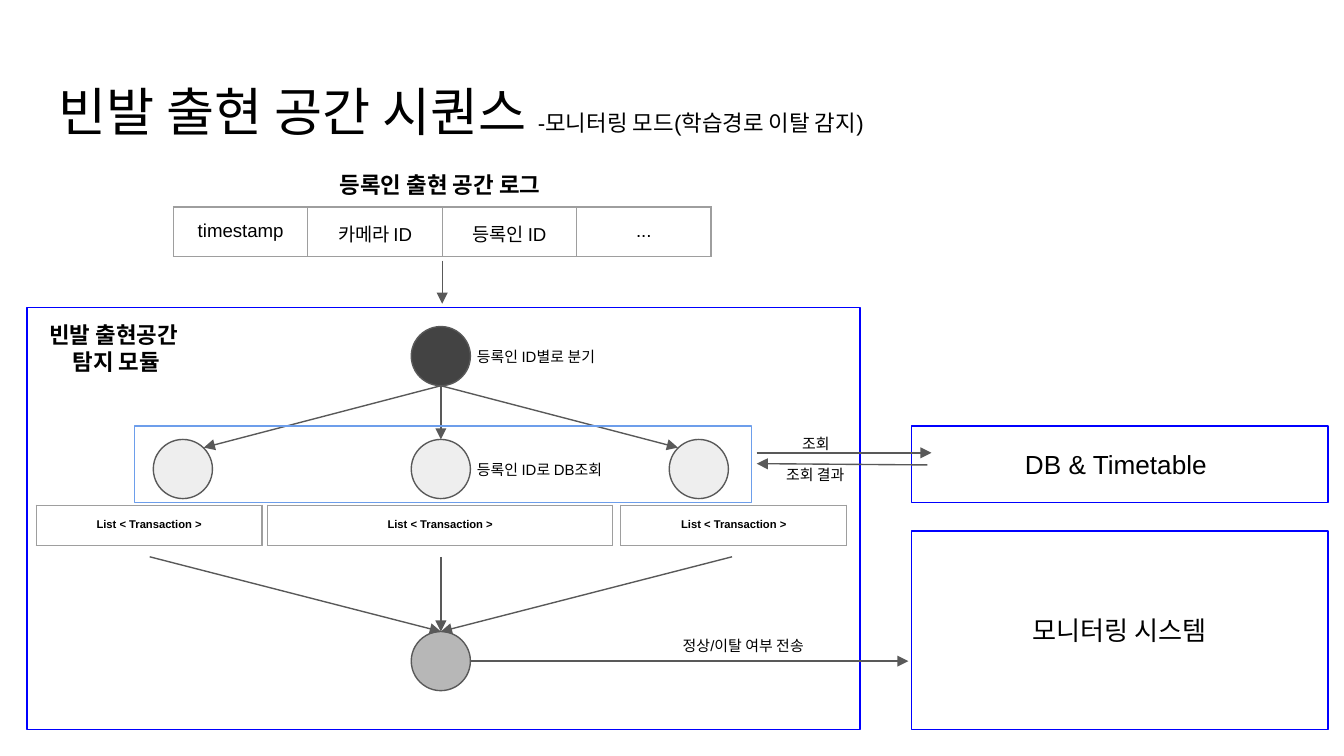
from dataclasses import dataclass

from lxml.etree import SubElement
from pptx import Presentation
from pptx.dml.color import RGBColor
from pptx.enum.shapes import MSO_CONNECTOR, MSO_SHAPE
from pptx.enum.text import MSO_ANCHOR, PP_ALIGN
from pptx.oxml.ns import qn
from pptx.util import Pt

BLACK = RGBColor(0x00, 0x00, 0x00)
BLUE = RGBColor(0x00, 0x00, 0xFF)
LIGHT_BLUE = RGBColor(0x6D, 0x9E, 0xEB)
LINE_GRAY = RGBColor(0x59, 0x59, 0x59)
BORDER_GRAY = RGBColor(0x9E, 0x9E, 0x9E)
DARK_NODE = RGBColor(0x43, 0x43, 0x43)
LIGHT_NODE = RGBColor(0xEE, 0xEE, 0xEE)
MIDDLE_NODE = RGBColor(0xB7, 0xB7, 0xB7)
FONT = "Arial"
INSET = 7.2
LABEL_HEIGHT = 37.4
DIAMETER = 31.7
RADIUS = DIAMETER / 2


@dataclass
class Box:
    """A rectangle in points."""
    left: float
    top: float
    width: float
    height: float

    def inner(self, left, top, width, height):
        """Return a box placed relative to this one."""
        return Box(self.left + left, self.top + top, width, height)

    def lengths(self):
        """Return left, top, width and height as lengths."""
        return [Pt(value) for value in (self.left, self.top, self.width, self.height)]


def style_para(para, size, bold=False, align=PP_ALIGN.LEFT):
    """Set the font and alignment of a paragraph."""
    para.alignment = align
    para.font.name = FONT
    para.font.size = Pt(size)
    para.font.bold = bold
    para.font.color.rgb = BLACK


def fill_frame(frame, lines, size, bold=False, align=PP_ALIGN.LEFT, anchor=MSO_ANCHOR.MIDDLE):
    """Write lines into a text frame with even insets."""
    frame.word_wrap = True
    frame.vertical_anchor = anchor
    frame.margin_left = frame.margin_right = Pt(INSET)
    frame.margin_top = frame.margin_bottom = Pt(INSET)
    frame.text = "\n".join(lines)
    for para in frame.paragraphs:
        style_para(para, size, bold, align)


def add_label(page, box, *lines, size=8, bold=False, align=PP_ALIGN.LEFT):
    """Add a text box."""
    label = page.shapes.add_textbox(*box.lengths())
    fill_frame(label.text_frame, lines, size, bold, align)


def add_figure(page, kind, box, line, fill=None):
    """Add an outlined shape, filled if a colour is given."""
    figure = page.shapes.add_shape(kind, *box.lengths())
    figure.shadow.inherit = False
    figure.line.color.rgb = line
    figure.line.width = Pt(0.75)
    if fill is None:
        figure.fill.background()
    else:
        figure.fill.solid()
        figure.fill.fore_color.rgb = fill
    return figure


def add_node(page, box, x, y, fill):
    """Add a circle centred on a point of the box."""
    circle = box.inner(x - RADIUS, y - RADIUS, DIAMETER, DIAMETER)
    add_figure(page, MSO_SHAPE.OVAL, circle, LINE_GRAY, fill)


def add_arrow(page, box, start, end):
    """Add an arrow between two points of the box."""
    points = [Pt(box.left + start[0]), Pt(box.top + start[1]),
              Pt(box.left + end[0]), Pt(box.top + end[1])]
    arrow = page.shapes.add_connector(MSO_CONNECTOR.STRAIGHT, *points)
    arrow.line.color.rgb = LINE_GRAY
    arrow.line.width = Pt(0.75)
    SubElement(arrow.line._get_or_add_ln(), qn("a:tailEnd"), type="triangle")
    SubElement(arrow._element.spPr, qn("a:effectLst"))


def border_cell(cell):
    """Draw a thin gray border on each side of a cell."""
    properties = cell._tc.get_or_add_tcPr()
    for position, side in enumerate(("a:lnL", "a:lnR", "a:lnT", "a:lnB")):
        line = properties.makeelement(qn(side), {"w": str(Pt(0.75))})
        solid = SubElement(line, qn("a:solidFill"))
        SubElement(solid, qn("a:srgbClr"), val=str(BORDER_GRAY))
        properties.insert(position, line)


def add_row_table(page, box, texts, size, bold=False):
    """Add a table of one row with equal columns."""
    table = page.shapes.add_table(1, len(texts), *box.lengths()).table
    table.first_row = table.horz_banding = False
    for cell, text in zip(table.rows[0].cells, texts):
        cell.fill.background()
        cell.margin_left = cell.margin_right = Pt(INSET)
        cell.margin_top = cell.margin_bottom = Pt(INSET)
        cell.text = text
        style_para(cell.text_frame.paragraphs[0], size, bold, PP_ALIGN.CENTER)
        border_cell(cell)


def draw_title(page, box):
    """Draw the title with its smaller suffix."""
    frame = page.shapes.add_textbox(*box.lengths()).text_frame
    fill_frame(frame, ["빈발 출현 공간 시퀀스 "], 28, anchor=MSO_ANCHOR.TOP)
    span = frame.paragraphs[0].add_run()
    span.text = "-모니터링 모드(학습경로 이탈 감지)"
    span.font.size = Pt(12)


def draw_log(page, box):
    """Draw the log heading, its columns and the arrow below."""
    add_label(page, box.inner(32.4, 0, 221, LABEL_HEIGHT), "등록인 출현 공간 로그",
              size=12, bold=True, align=PP_ALIGN.CENTER)
    add_row_table(page, box.inner(0, 31, box.width, 21.6),
                  ["timestamp", "카메라 ID", "등록인 ID", "..."], 10)
    add_arrow(page, box, (box.width / 2, 59.8), (box.width / 2, 82.8))


def draw_module(page, box):
    """Draw the detection module with its branching and merging flow."""
    middle, spread = 221.8, 138.2
    split_y, query_y, merge_y = 25.9, 86.4, 189.3
    add_figure(page, MSO_SHAPE.RECTANGLE, box, BLUE)
    add_label(page, box.inner(-12.2, 2.9, 120.2, LABEL_HEIGHT), "빈발 출현공간 ", "탐지 모듈",
              size=12, bold=True, align=PP_ALIGN.CENTER)
    add_node(page, box, middle, split_y, DARK_NODE)
    add_node(page, box, middle, merge_y, MIDDLE_NODE)
    for side in (-1, 0, 1):
        add_node(page, box, middle + side * spread, query_y, LIGHT_NODE)
        add_arrow(page, box, (middle, split_y + RADIUS),
                  (middle + side * 127, 74.9 if side else query_y - RADIUS))
        add_arrow(page, box, (middle + side * 156, 133.4), (middle, merge_y - RADIUS))
    for y, text in ((split_y, "등록인 ID별로 분기"), (query_y, "등록인 ID로 DB조회")):
        add_label(page, box.inner(234, y - LABEL_HEIGHT / 2, 86.4, LABEL_HEIGHT), text)
    for left, width in ((5, 121), (128.9, 185), (318.2, 121)):
        add_row_table(page, box.inner(left, 105.8, width, 21.6),
                      ["List < Transaction >"], 6, True)
    add_figure(page, MSO_SHAPE.RECTANGLE, box.inner(57.6, 63.4, 330.5, 41), LIGHT_BLUE)


def draw_systems(page, box):
    """Draw the two systems outside the module."""
    for top, height, text in ((0, 41, "DB & Timetable "), (56.2, 106.6, "모니터링 시스템")):
        system = add_figure(page, MSO_SHAPE.RECTANGLE,
                            box.inner(0, top, box.width, height), BLUE)
        fill_frame(system.text_frame, [text], 14, align=PP_ALIGN.CENTER)


def draw_exchange(page, box):
    """Draw the arrows between module and systems with their labels."""
    add_arrow(page, box, (153.4, 23.7), (247, 23.7))
    add_arrow(page, box, (244.8, 30.2), (153.4, 29.5))
    add_arrow(page, box, (0, 135.3), (234.7, 135.3))
    for left, top, text in ((170.6, 0, "조회"), (162, 16.5, "조회 결과"),
                            (106.6, 108, "정상/이탈 여부 전송")):
        add_label(page, box.inner(left, top, 87, LABEL_HEIGHT), text)


def build_deck():
    """Build and save the slide."""
    deck = Presentation()
    deck.slide_width, deck.slide_height = Pt(720), Pt(405)
    page = deck.slides.add_slide(deck.slide_layouts[6])
    draw_title(page, Box(24.5, 35.3, 671, 45.4))
    draw_log(page, Box(92.9, 79.9, 288, 82.8))
    draw_module(page, Box(14.4, 164.9, 446.4, 226.1))
    draw_systems(page, Box(488.2, 228.2, 223.2, 162.8))
    draw_exchange(page, Box(252, 218.9, 247, 145.4))
    deck.save("out.pptx")


build_deck()
